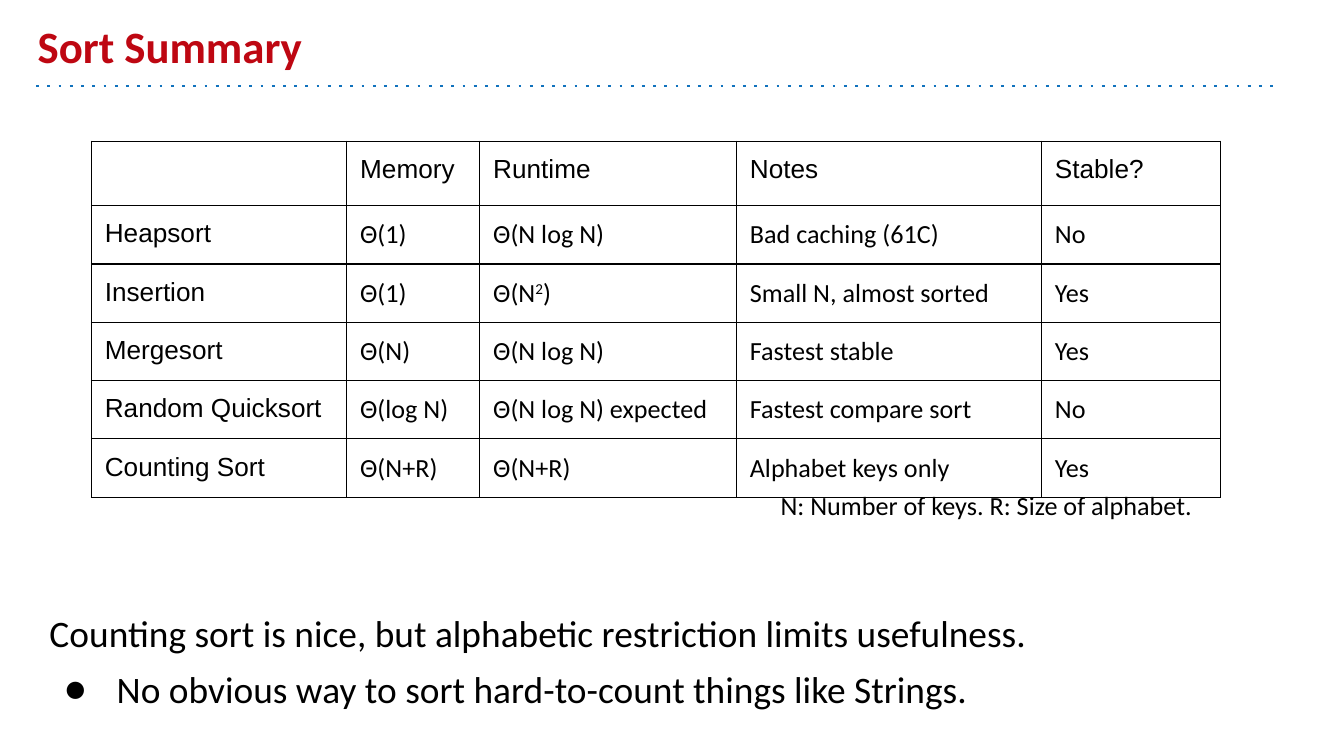
from lxml import etree
from pptx import Presentation
from pptx import util as u
from pptx.dml import color
from pptx.enum import shapes, text
from pptx.oxml import ns

BLACK, WHITE, RED, BLUE = "000000", "FFFFFF", "BE0712", "1072BD"
SLIDE_WIDTH = u.Inches(10)
SLIDE_HEIGHT = SLIDE_WIDTH * 9 // 16
PADDING = u.Inches(0.1)
COLUMN_WIDTHS = [1.9, 0.99, 1.91, 2.27, 1.33]
HEADER_HEIGHT, ROW_HEIGHT = 0.48, 0.43
SORTS = [
    ["", "Memory", "Runtime", "Notes", "Stable?"],
    ["Heapsort", "Θ(1)", "Θ(N log N)", "Bad caching (61C)", "No"],
    ["Insertion", "Θ(1)", "Θ(N^2^)", "Small N, almost sorted", "Yes"],
    ["Mergesort", "Θ(N)", "Θ(N log N)", "Fastest stable", "Yes"],
    ["Random Quicksort", "Θ(log N)", "Θ(N log N) expected", "Fastest compare sort", "No"],
    ["Counting Sort", "Θ(N+R)", "Θ(N+R)", "Alphabet keys only", "Yes"],
]


def rgb(value):
    return color.RGBColor.from_string(value)


def add_element(parent, tag, **attributes):
    return etree.SubElement(parent, ns.qn(tag), attributes)


def format_font(font, size, name="Calibri", shade=BLACK, bold=False):
    font.size = u.Pt(size)
    font.name = name
    font.bold = bold
    font.color.rgb = rgb(shade)


def pad(frame):
    frame.margin_left = frame.margin_right = PADDING
    frame.margin_top = frame.margin_bottom = PADDING
    frame.word_wrap = True


def add_title(slide, wording):
    title = slide.shapes.title
    title.left, title.top = u.Inches(0.18), u.Inches(0.1)
    title.width, title.height = u.Inches(9), u.Inches(0.54)
    frame = title.text_frame
    frame.text = wording
    pad(frame)
    frame.auto_size = text.MSO_AUTO_SIZE.NONE
    frame.vertical_anchor = text.MSO_ANCHOR.BOTTOM
    heading = frame.paragraphs[0]
    heading.alignment = text.PP_ALIGN.LEFT
    format_font(heading.runs[0].font, 24, shade=RED, bold=True)


def add_rule(slide):
    y = u.Inches(0.64)
    rule = slide.shapes.add_connector(
        shapes.MSO_CONNECTOR.STRAIGHT, u.Inches(0.27), y, u.Inches(9.5), y)
    rule.line.color.rgb = rgb(BLUE)
    rule.line.width = u.Pt(1.5)
    add_element(rule.line._get_or_add_ln(), "a:prstDash", val="dot")
    add_element(rule._element.spPr, "a:effectLst")


def add_text(slide, left, top, width, height, lines, size):
    box = slide.shapes.add_textbox(
        u.Inches(left), u.Inches(top), u.Inches(width), u.Inches(height))
    frame = box.text_frame
    frame.text = "\n".join(lines)
    pad(frame)
    for paragraph in frame.paragraphs:
        format_font(paragraph.runs[0].font, size)
    return frame


def make_bullet(paragraph):
    properties = paragraph._p.get_or_add_pPr()
    properties.set("marL", str(u.Inches(0.5)))
    properties.set("indent", str(u.Inches(-0.39)))
    paragraph.space_before = u.Pt(6)
    shade = add_element(properties, "a:buClr")
    add_element(shade, "a:srgbClr", val=BLACK)
    add_element(properties, "a:buSzPts", val="2000")
    add_element(properties, "a:buFont", typeface="Calibri")
    add_element(properties, "a:buChar", char="●")


def add_borders(cell):
    properties = cell._tc.get_or_add_tcPr()
    for position, side in enumerate(("a:lnL", "a:lnR", "a:lnT", "a:lnB")):
        border = etree.Element(ns.qn(side), w=str(u.Pt(0.75)))
        fill = add_element(border, "a:solidFill")
        add_element(fill, "a:srgbClr", val=BLACK)
        properties.insert(position, border)


def fill_cell(cell, wording, font_name):
    cell.margin_left = cell.margin_right = PADDING
    cell.margin_top = cell.margin_bottom = PADDING
    cell.fill.solid()
    cell.fill.fore_color.rgb = rgb(WHITE)
    add_borders(cell)
    paragraph = cell.text_frame.paragraphs[0]
    if not wording:
        add_element(paragraph._p, "a:endParaRPr", sz="1400")
        return
    for index, part in enumerate(wording.split("^")):
        run = paragraph.add_run()
        run.text = part
        format_font(run.font, 14, font_name)
        if index % 2:
            run.font._element.set("baseline", "30000")


def add_sort_table(slide):
    heights = [HEADER_HEIGHT] + [ROW_HEIGHT] * (len(SORTS) - 1)
    table = slide.shapes.add_table(
        len(SORTS), len(COLUMN_WIDTHS), u.Inches(0.68), u.Inches(1.05),
        u.Inches(sum(COLUMN_WIDTHS)), u.Inches(sum(heights))).table
    table.first_row = table.horz_banding = False
    for column, width in zip(table.columns, COLUMN_WIDTHS):
        column.width = u.Inches(width)
    for row, height in zip(table.rows, heights):
        row.height = u.Inches(height)
    for r, sort in enumerate(SORTS):
        for c, wording in enumerate(sort):
            font_name = "Arial" if r == 0 or c == 0 else "Calibri"
            fill_cell(table.cell(r, c), wording, font_name)


def main():
    deck = Presentation()
    deck.slide_width, deck.slide_height = SLIDE_WIDTH, SLIDE_HEIGHT
    slide = deck.slides.add_slide(deck.slide_layouts[5])
    add_rule(slide)
    add_title(slide, "Sort Summary")
    remarks = add_text(slide, 0.27, 4.44, 9.23, 1.04, [
        "Counting sort is nice, but alphabetic restriction limits usefulness.",
        "No obvious way to sort hard-to-count things like Strings.",
    ], 20)
    make_bullet(remarks.paragraphs[1])
    add_sort_table(slide)
    add_text(slide, 5.71, 3.54, 3.34, 0.54,
             ["N: Number of keys. R: Size of alphabet."], 14)
    deck.save("out.pptx")


if __name__ == "__main__":
    main()
